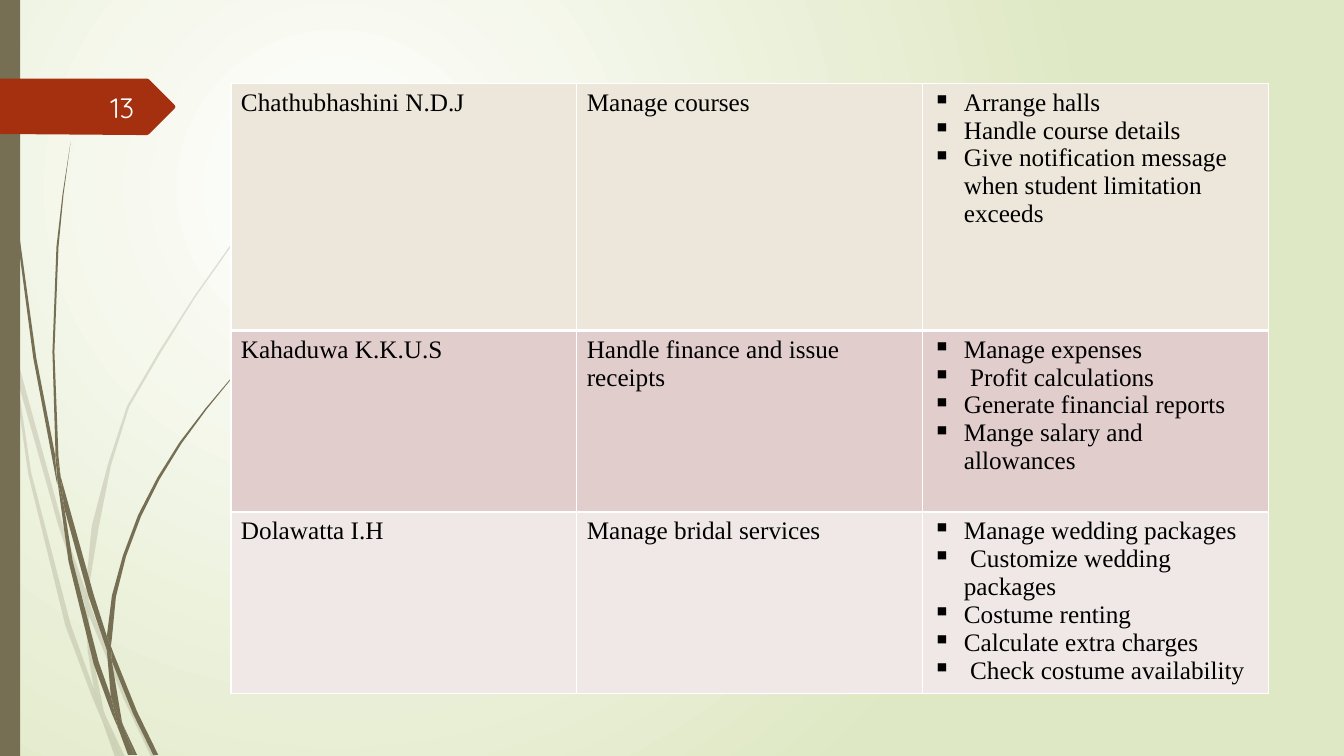
from lxml.etree import SubElement
from pptx import Presentation
from pptx.dml.color import RGBColor
from pptx.enum.shapes import MSO_SHAPE
from pptx.enum.text import MSO_ANCHOR, PP_ALIGN
from pptx.oxml.ns import qn
from pptx.util import Inches, Pt

COLUMNS, ROWS = 1333, 750
CELL = Inches(0.01)
COLORS = {
    "white": "FFFFFF", "number": "FEFFFF", "text": "000000", "stem": "766F54",
    "tag": "A53010", "meadow": "DFE8C4",
    "sand": "EDE6DB", "rose": "E1CDCC", "blush": "F0E8E7",
}
FONTS = {"table": "Times New Roman", "number": "Quicksand"}

PALE_STEMS = [
    [(11, 350), (9, 322), (0, 282), (0, 299), (10, 344)],
    [(58, 522), (84, 599), (85, 586), (62, 520), (14, 345), (17, 376)],
    [(92, 607), (88, 596), (88, 610), (123, 694), (150, 751), (155, 751), (127, 692)],
    [(119, 751), (124, 751), (105, 711)],
    [(93, 683), (70, 619), (31, 469), (17, 376), (11, 350), (28, 470), (65, 621),
     (92, 693), (101, 714), (99, 707)],
    [(84, 599), (87, 646), (93, 683), (96, 692), (105, 711), (103, 706), (91, 646),
     (88, 610), (88, 608)],
    [(88, 584), (98, 523), (110, 462), (128, 404), (160, 349), (193, 296), (229, 245),
     (268, 198), (290, 175), (312, 154), (312, 153), (289, 175), (268, 197), (228, 244),
     (192, 295), (158, 348), (126, 403), (107, 461), (91, 522), (85, 584), (85, 586),
     (88, 596)],
    [(101, 714), (114, 751), (119, 751)],
    [(88, 608), (88, 596), (85, 586), (84, 599)],
    [(96, 692), (93, 683), (99, 707), (101, 714), (119, 751), (105, 711)],
]
DARK_STEMS = [
    [(7, 110), (17, 233), (33, 355), (56, 477), (57, 481), (55, 457), (55, 453),
     (36, 355), (19, 232), (8, 109), (5, 48), (4, 0), (3, 0), (4, 48)],
    [(88, 592), (106, 645), (106, 631), (93, 590), (60, 472), (64, 505)],
    [(113, 649), (110, 641), (111, 656), (132, 708), (152, 749), (157, 749), (136, 706)],
    [(110, 691), (98, 657), (72, 556), (64, 505), (57, 477), (68, 557), (93, 659),
     (111, 708), (117, 722), (116, 717)],
    [(60, 472), (58, 453), (54, 349), (58, 245), (63, 193), (70, 141), (62, 193),
     (56, 245), (52, 349), (55, 449)],
    [(133, 749), (136, 749), (122, 719)],
    [(57, 477), (64, 505), (60, 472), (55, 449), (55, 453)],
    [(111, 633), (115, 592), (125, 552), (140, 512), (158, 476), (180, 440), (205, 406),
     (231, 374), (245, 359), (261, 344), (260, 344), (245, 358), (231, 373), (204, 405),
     (178, 439), (156, 474), (137, 511), (122, 551), (111, 591), (106, 631), (110, 641)],
    [(117, 722), (127, 749), (131, 749)],
    [(106, 645), (110, 691), (116, 706), (122, 719), (121, 716), (111, 656), (109, 651)],
    [(106, 645), (109, 651), (111, 656), (110, 641), (106, 631)],
    [(116, 706), (110, 691), (116, 717), (117, 722), (130, 749), (133, 749), (122, 719)],
]
NUMBER_TAG = [(173, 108), (148, 133), (146, 134), (136, 134), (0, 133), (0, 78),
              (146, 78), (148, 79), (173, 104), (174, 106)]

DUTIES = [
    ("sand", 245, "Chathubhashini N.D.J", "Manage courses",
     ["Arrange halls", "Handle course details",
      "Give notification message when student limitation exceeds"]),
    ("rose", 180, "Kahaduwa K.K.U.S", "Handle finance and issue receipts",
     ["Manage expenses", " Profit calculations", "Generate financial reports",
      "Mange salary and allowances"]),
    ("blush", 180, "Dolawatta I.H", "Manage bridal services",
     ["Manage wedding packages", " Customize wedding packages", "Costume renting",
      "Calculate extra charges", " Check costume availability"]),
]


def color(name):
    return RGBColor.from_string(COLORS[name])


def write(paragraph, text, size=18, font="table", ink="text", align=PP_ALIGN.LEFT, bullet=None):
    run = paragraph.add_run()
    run.text = text
    run.font.size = Pt(size)
    run.font.name = FONTS[font]
    run.font.color.rgb = color(ink)
    paragraph.alignment = align
    if bullet:
        properties = paragraph._p.get_or_add_pPr()
        properties.set("marL", str(31 * CELL))
        properties.set("indent", str(-31 * CELL))
        SubElement(properties, qn("a:buChar")).set("char", bullet)


class SlideBuilder:
    """Draws styled elements on one slide, measured in grid columns and rows."""

    def __init__(self, presentation):
        presentation.slide_width = COLUMNS * CELL
        presentation.slide_height = ROWS * CELL
        self.slide = presentation.slides.add_slide(presentation.slide_layouts[6])
        self.shapes = self.slide.shapes

    def background(self, inner, outer):
        fill = self.slide.background.fill
        fill.gradient()
        for stop, name, position in zip(fill.gradient_stops, (inner, outer), (0, 1)):
            stop.color.rgb = color(name)
            stop.position = position
        gradient = self.slide.element.find(".//" + qn("a:gradFill"))
        gradient.remove(gradient.find(qn("a:lin")))
        circle = SubElement(gradient, qn("a:path"))
        circle.set("path", "circle")
        focus = SubElement(circle, qn("a:fillToRect"))
        for side, share in zip("ltrb", (50, 50, 100, 100)):
            focus.set(side, str(share * 1000))

    def paint(self, shape, name, opacity=100):
        shape.shadow.inherit = False
        shape.fill.solid()
        shape.fill.fore_color.rgb = color(name)
        shape.line.fill.background()
        if opacity < 100:
            solid = shape.element.spPr.find(qn("a:solidFill"))
            SubElement(solid[0], qn("a:alpha")).set("val", str(opacity * 1000))

    def outline(self, points, name, opacity=100):
        builder = self.shapes.build_freeform(*points[0], scale=CELL)
        builder.add_line_segments(points[1:], close=True)
        self.paint(builder.convert_to_shape(), name, opacity)

    def bar(self, left, top, width, height, name):
        box = [value * CELL for value in (left, top, width, height)]
        self.paint(self.shapes.add_shape(MSO_SHAPE.RECTANGLE, *box), name)

    def label(self, left, top, width, height, text, **style):
        box = [value * CELL for value in (left, top, width, height)]
        frame = self.shapes.add_textbox(*box).text_frame
        frame.word_wrap = True
        frame.vertical_anchor = MSO_ANCHOR.MIDDLE
        write(frame.paragraphs[0], text, **style)

    def borders(self, cell, widths):
        properties = cell._tc.get_or_add_tcPr()
        for index, (side, width) in enumerate(zip("LRTB", widths)):
            line = SubElement(properties, qn("a:ln" + side))
            line.set("w", str(Pt(width)))
            solid = SubElement(line, qn("a:solidFill"))
            SubElement(solid, qn("a:srgbClr")).set("val", COLORS["white"])
            properties.insert(index, line)

    def duty_table(self, left, top, column_width, duties):
        height = sum(duty[1] for duty in duties)
        table = self.shapes.add_table(len(duties), 3, left * CELL, top * CELL,
                                      3 * column_width * CELL, height * CELL).table
        table.first_row = table.horz_banding = False
        for column in table.columns:
            column.width = column_width * CELL
        for row, (name, row_height, member, duty, tasks) in enumerate(duties):
            table.rows[row].height = row_height * CELL
            widths = (1, 1, 3 if row == 1 else 1, 3 if row == 0 else 1)
            for column, lines in enumerate(([member], [duty], tasks)):
                cell = table.cell(row, column)
                cell.fill.solid()
                cell.fill.fore_color.rgb = color(name)
                self.borders(cell, widths)
                frame = cell.text_frame
                for index, text in enumerate(lines):
                    paragraph = frame.add_paragraph() if index else frame.paragraphs[0]
                    write(paragraph, text, bullet="▪" if column == 2 else None)


def main():
    presentation = Presentation()
    builder = SlideBuilder(presentation)
    builder.background("white", "meadow")
    for stems, opacity in ((PALE_STEMS, 20), (DARK_STEMS, 100)):
        for points in stems:
            builder.outline(points, "stem", opacity)
    builder.bar(0, 0, 20, ROWS, "stem")
    builder.outline(NUMBER_TAG, "tag")
    builder.duty_table(229, 83, 343, DUTIES)
    builder.label(58, 86, 85, 40, "13", size=20, font="number", ink="number",
                  align=PP_ALIGN.RIGHT)
    presentation.save("out.pptx")


if __name__ == "__main__":
    main()
